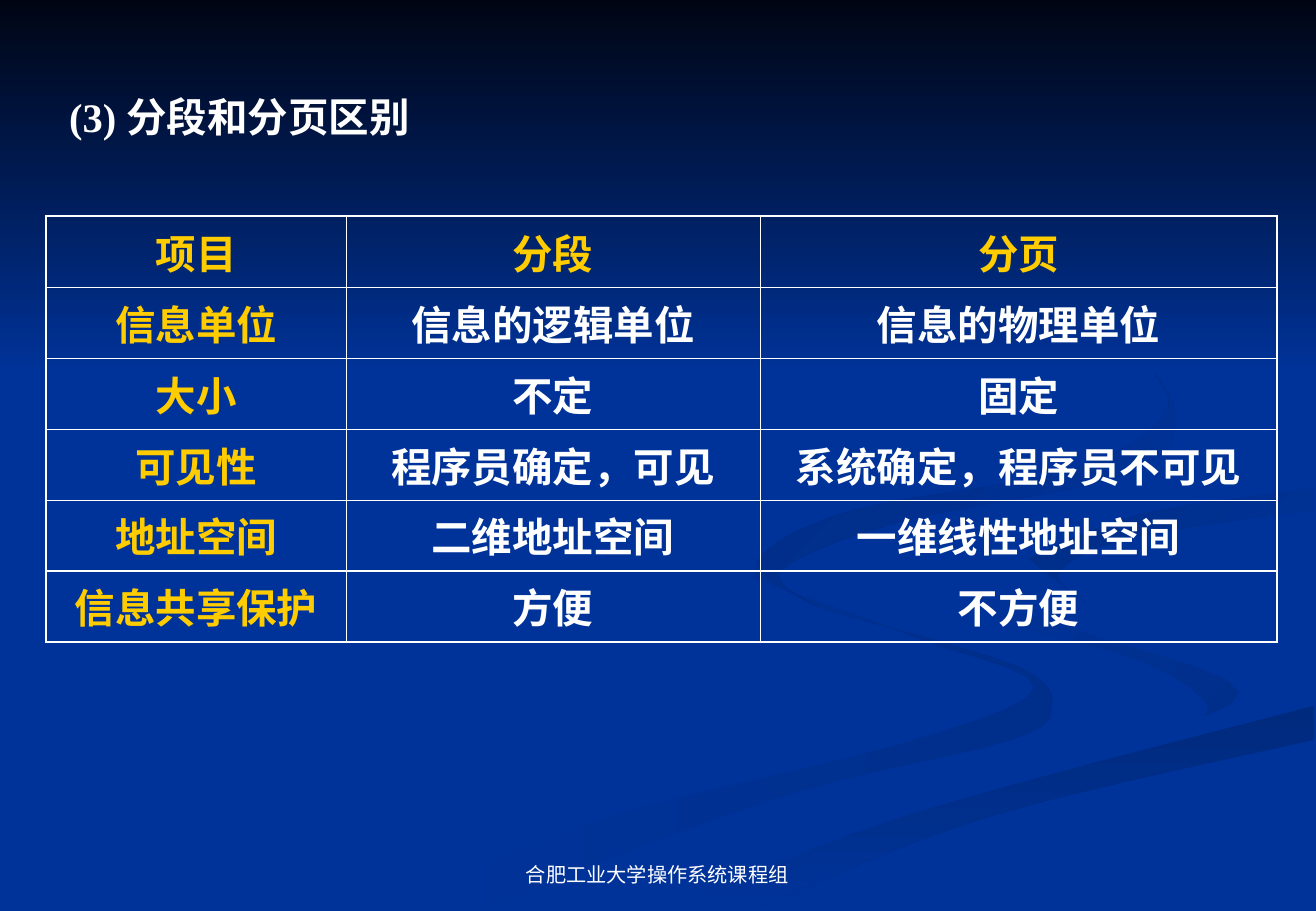
from dataclasses import dataclass

from lxml import etree
from pptx import Presentation
from pptx.dml import color, fill as fills
from pptx.enum import shapes, text
from pptx.oxml import ns
from pptx.util import Inches, Pt

Edge = tuple[tuple[float, float], ...]

WIDTH, HEIGHT = 10.84, 7.5
BLUE, WHITE, GOLD = "003399", "FFFFFF", "FFCC00"
SERIF = "Times New Roman"
THIN, THICK = 0.45, 1.08
STEPS = 5
COLUMN_WIDTHS = (2.47, 3.41, 4.26)
ROW_HEIGHT = 0.58
COMPARISON = (
    ("项目", "分段", "分页"),
    ("信息单位", "信息的逻辑单位", "信息的物理单位"),
    ("大小", "不定", "固定"),
    ("可见性", "程序员确定，可见", "系统确定，程序员不可见"),
    ("地址空间", "二维地址空间", "一维线性地址空间"),
    ("信息共享保护", "方便", "不方便"),
)


@dataclass
class Ribbon:
    """A closed outline made of smooth edges that meet at sharp corners."""
    start: str
    end: str
    angle: int
    edges: tuple[Edge, ...]


FRONT_EDGE: Edge = ((5.45, 7.49), (7.54, 6.69), (10.82, 5.81))
BAY_TOP: Edge = ((8.47, 4.6), (9.37, 4.24), (10.82, 4.02))
RIBBONS = (
    Ribbon(BLUE, "002E8B", 0, (
        ((6.23, 4.59), (6.65, 4.96), (7.74, 5.28), (8.47, 5.53), (8.67, 5.81), (8.33, 6.09),
         (6.43, 6.56), (3.91, 7.49)),
        ((3.25, 7.49), (4.97, 6.74), (7.41, 6.13), (8.52, 5.66), (7.55, 5.25), (6.2, 4.76)))),
    Ribbon(BLUE, "002E8B", 45, (
        ((7.84, 4.64), (8.38, 5.03), (9.62, 5.35), (10.21, 5.7), (9.68, 6.05)),
        ((9.68, 6.05), (9.95, 5.81), (9.4, 5.44), (8.3, 5.12), (7.84, 4.64)))),
    Ribbon("002A7D", BLUE, 90, (
        FRONT_EDGE, ((10.82, 6.09), (8.15, 6.72), (6.19, 7.49)))),
    Ribbon(BLUE, BLUE, 0, (
        ((10.82, 3.87), (8.75, 4.17), (7.85, 4.64), (8.79, 5.15), (10.21, 5.7), (8.8, 6.25),
         (5.17, 7.49)),
        FRONT_EDGE, ((10.82, 5.38), (9.02, 4.98), (8.47, 4.6)), BAY_TOP)),
    Ribbon("002D86", BLUE, 45, (
        BAY_TOP, ((10.82, 4.2), (9.3, 4.43), (8.72, 4.72), (8.94, 4.96)),
        ((8.94, 4.96), (8.47, 4.6)))),
    Ribbon("002B82", BLUE, 45, (
        ((8.26, 2.33), (9.25, 2.83), (9.68, 3.44), (9.26, 3.91), (7.4, 4.3), (6.43, 4.7),
         (6.74, 5)),
        ((6.74, 5), (6.25, 4.62), (7.03, 4.2), (8.86, 3.86), (9.63, 3.35), (9.16, 2.79),
         (8.26, 2.33)))),
)


def rgb(value: str) -> color.RGBColor:
    return color.RGBColor.from_string(value)


def paint(fill: fills.FillFormat, start: str, end: str, angle: int) -> None:
    """Fill with one colour, or with a gradient at a clockwise angle."""
    if start == end:
        fill.solid()
        fill.fore_color.rgb = rgb(start)
        return
    fill.gradient()
    fill.gradient_angle = (360 - angle) % 360
    for stop, value in zip(fill.gradient_stops, (start, end)):
        stop.color.rgb = rgb(value)


def finish(shape, start: str, end: str, angle: int) -> None:
    """Paint a decoration and drop its outline and shadow."""
    paint(shape.fill, start, end, angle)
    shape.line.fill.background()
    shape.shadow.inherit = False


def smooth(edge: Edge) -> list[tuple[float, float]]:
    """Run a Catmull-Rom curve through the knots of an edge."""
    knots = (edge[0], *edge, edge[-1])
    curve = []
    for before, here, there, after in zip(knots, knots[1:], knots[2:], knots[3:]):
        for step in range(STEPS):
            t = step / STEPS
            curve.append(tuple(
                b + t / 2 * (c - a + t * (2 * a - 5 * b + 4 * c - d + t * (3 * (b - c) + d - a)))
                for a, b, c, d in zip(before, here, there, after)))
    return [*curve, edge[-1]]


def draw_ribbon(slide, ribbon: Ribbon) -> None:
    first, *rest = [(Inches(x), Inches(y)) for edge in ribbon.edges for x, y in smooth(edge)]
    builder = slide.shapes.build_freeform(*first)
    builder.add_line_segments(rest, close=True)
    finish(builder.convert_to_shape(), ribbon.start, ribbon.end, ribbon.angle)


def write(frame, words: str, size: int, font: str, value: str, bold: bool, align) -> None:
    frame.text = words
    paragraph = frame.paragraphs[0]
    paragraph.alignment = align
    for run in paragraph.runs:
        run.font.size = Pt(size)
        run.font.name = font
        run.font.bold = bold
        run.font.color.rgb = rgb(value)


def set_borders(cell, widths: dict[str, float]) -> None:
    properties = cell._tc.get_or_add_tcPr()
    for index, (side, width) in enumerate(widths.items()):
        line = etree.Element(ns.qn(f"a:ln{side}"), w=str(int(Pt(width))))
        solid = etree.SubElement(line, ns.qn("a:solidFill"))
        etree.SubElement(solid, ns.qn("a:srgbClr"), val=WHITE)
        properties.insert(index, line)


def add_comparison(slide) -> None:
    last_row, last_column = len(COMPARISON) - 1, len(COLUMN_WIDTHS) - 1
    table = slide.shapes.add_table(
        len(COMPARISON), len(COLUMN_WIDTHS), Inches(0.38), Inches(1.78),
        Inches(sum(COLUMN_WIDTHS)), Inches(ROW_HEIGHT * len(COMPARISON))).table
    table.first_row = table.horz_banding = False
    for column, width in zip(table.columns, COLUMN_WIDTHS):
        column.width = Inches(width)
    for r, entries in enumerate(COMPARISON):
        table.rows[r].height = Inches(ROW_HEIGHT)
        for c, words in enumerate(entries):
            cell = table.cell(r, c)
            cell.fill.background()
            cell.vertical_anchor = text.MSO_ANCHOR.MIDDLE
            heading = r == 0 or c == 0
            write(cell.text_frame, words, 24, SERIF, GOLD if heading else WHITE, True,
                  text.PP_ALIGN.CENTER)
            set_borders(cell, {
                "L": THICK if c == 0 else THIN,
                "R": THICK if c == last_column else THIN,
                "T": THICK if r in (0, last_row) else THIN,
                "B": THICK if r >= last_row - 1 else THIN,
            })


def main() -> None:
    deck = Presentation()
    deck.slide_width, deck.slide_height = Inches(WIDTH), Inches(HEIGHT)
    slide = deck.slides.add_slide(deck.slide_layouts[5])
    paint(slide.background.fill, BLUE, BLUE, 0)

    for ribbon in RIBBONS:
        draw_ribbon(slide, ribbon)
    sky = slide.shapes.add_shape(shapes.MSO_SHAPE.RECTANGLE, 0, 0, Inches(WIDTH), Inches(3.08))
    finish(sky, "000514", BLUE, 90)

    footer = slide.shapes.add_textbox(Inches(3.7), Inches(6.83), Inches(3.43), Inches(0.52))
    footer.text_frame.word_wrap = True
    footer.text_frame.vertical_anchor = text.MSO_ANCHOR.BOTTOM
    write(footer.text_frame, "合肥工业大学操作系统课程组", 12, "Arial", WHITE, False,
          text.PP_ALIGN.CENTER)

    title = slide.shapes.title
    title.left, title.top = Inches(0.47), Inches(0.68)
    title.width, title.height = Inches(10.07), Inches(0.55)
    title.text_frame.auto_size = text.MSO_AUTO_SIZE.NONE
    title.text_frame.vertical_anchor = text.MSO_ANCHOR.MIDDLE
    write(title.text_frame, "(3) 分段和分页区别", 24, SERIF, WHITE, True, text.PP_ALIGN.LEFT)
    slide.shapes._spTree.append(title._element)

    add_comparison(slide)
    deck.save("out.pptx")


if __name__ == "__main__":
    main()
